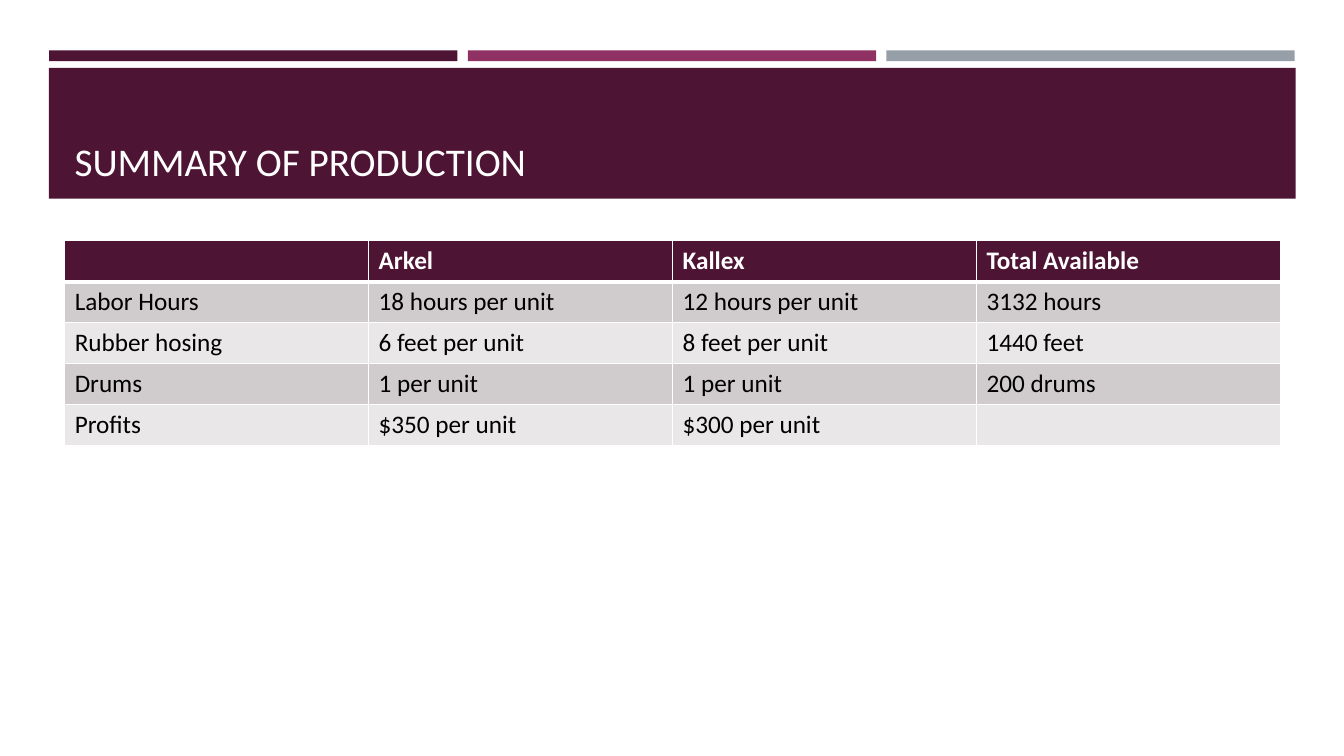
from lxml import etree
from pptx import Presentation
from pptx.dml.color import RGBColor
from pptx.enum.shapes import MSO_SHAPE
from pptx.enum.text import MSO_ANCHOR
from pptx.oxml.ns import qn
from pptx.util import Cm, Pt

RECTANGLE = MSO_SHAPE.RECTANGLE
BOTTOM = MSO_ANCHOR.BOTTOM
PLUM = RGBColor(0x4D, 0x14, 0x34)
MAGENTA = RGBColor(0x90, 0x31, 0x63)
SLATE = RGBColor(0x96, 0x9F, 0xA7)
DARK_BAND = RGBColor(0xD0, 0xCC, 0xCE)
LIGHT_BAND = RGBColor(0xE9, 0xE7, 0xE8)
WHITE = RGBColor(0xFF, 0xFF, 0xFF)
BLACK = RGBColor(0x00, 0x00, 0x00)
FONT = "Calibri"

PRODUCTION = [
    ["", "Arkel", "Kallex", "Total Available"],
    ["Labor Hours", "18 hours per unit", "12 hours per unit", "3132 hours"],
    ["Rubber hosing", "6 feet per unit", "8 feet per unit", "1440 feet"],
    ["Drums", "1 per unit", "1 per unit", "200 drums"],
    ["Profits", "$350 per unit", "$300 per unit", ""],
]


def add_bar(slide, left, top, width, height, color):
    """Add a plain filled rectangle."""
    bar = slide.shapes.add_shape(RECTANGLE, Cm(left), Cm(top), Cm(width), Cm(height))
    bar.shadow.inherit = False
    bar.fill.solid()
    bar.fill.fore_color.rgb = color
    bar.line.fill.background()


def format_text(para, size, color, bold=False):
    """Apply the slide's font to every run of a paragraph."""
    for span in para.runs:
        span.font.name = FONT
        span.font.size = Pt(size)
        span.font.bold = bold
        span.font.color.rgb = color


def add_title(slide, text):
    """Add the title, resting on the bottom of its box."""
    box = slide.shapes.add_textbox(Cm(1.63), Cm(1.96), Cm(30.63), Cm(2.82))
    frame = box.text_frame
    frame.word_wrap = True
    frame.vertical_anchor = BOTTOM
    frame.text = text
    format_text(frame.paragraphs[0], 28, WHITE)


def set_borders(cell, widths):
    """Draw white cell borders with widths in points, keyed by side."""
    properties = cell._tc.get_or_add_tcPr()
    for side, width in widths.items():
        line = etree.SubElement(properties, qn(f"a:ln{side}"), w=str(Pt(width)))
        fill = etree.SubElement(line, qn("a:solidFill"))
        etree.SubElement(fill, qn("a:srgbClr"), val=str(WHITE))


def add_production_table(slide, rows):
    """Add the table with a plum header and alternating row bands."""
    columns = len(rows[0])
    column_width, row_height = Cm(7.66), Cm(1.03)
    table = slide.shapes.add_table(
        len(rows), columns, Cm(1.63), Cm(6.07),
        column_width * columns, row_height * len(rows),
    ).table
    for row_index, row in enumerate(rows):
        is_header = row_index == 0
        band = DARK_BAND if row_index % 2 else LIGHT_BAND
        top = 3 if row_index == 1 else 1
        bottom = 3 if is_header else 1
        for column_index, text in enumerate(row):
            cell = table.cell(row_index, column_index)
            set_borders(cell, {"L": 1, "R": 1, "T": top, "B": bottom})
            cell.fill.solid()
            cell.fill.fore_color.rgb = PLUM if is_header else band
            cell.text_frame.text = text
            color = WHITE if is_header else BLACK
            format_text(cell.text_frame.paragraphs[0], 18, color, is_header)


def main():
    """Build and save the production summary slide."""
    deck = Presentation()
    deck.slide_width, deck.slide_height = Cm(33.87), Cm(19.05)
    slide = deck.slides.add_slide(deck.slide_layouts[6])
    for index, color in enumerate([PLUM, MAGENTA, SLATE]):
        add_bar(slide, 1.24 + index * 10.55, 1.27, 10.29, 0.27, color)
    add_bar(slide, 1.23, 1.71, 31.42, 3.3, PLUM)
    add_title(slide, "SUMMARY OF PRODUCTION")
    add_production_table(slide, PRODUCTION)
    deck.save("out.pptx")


if __name__ == "__main__":
    main()
